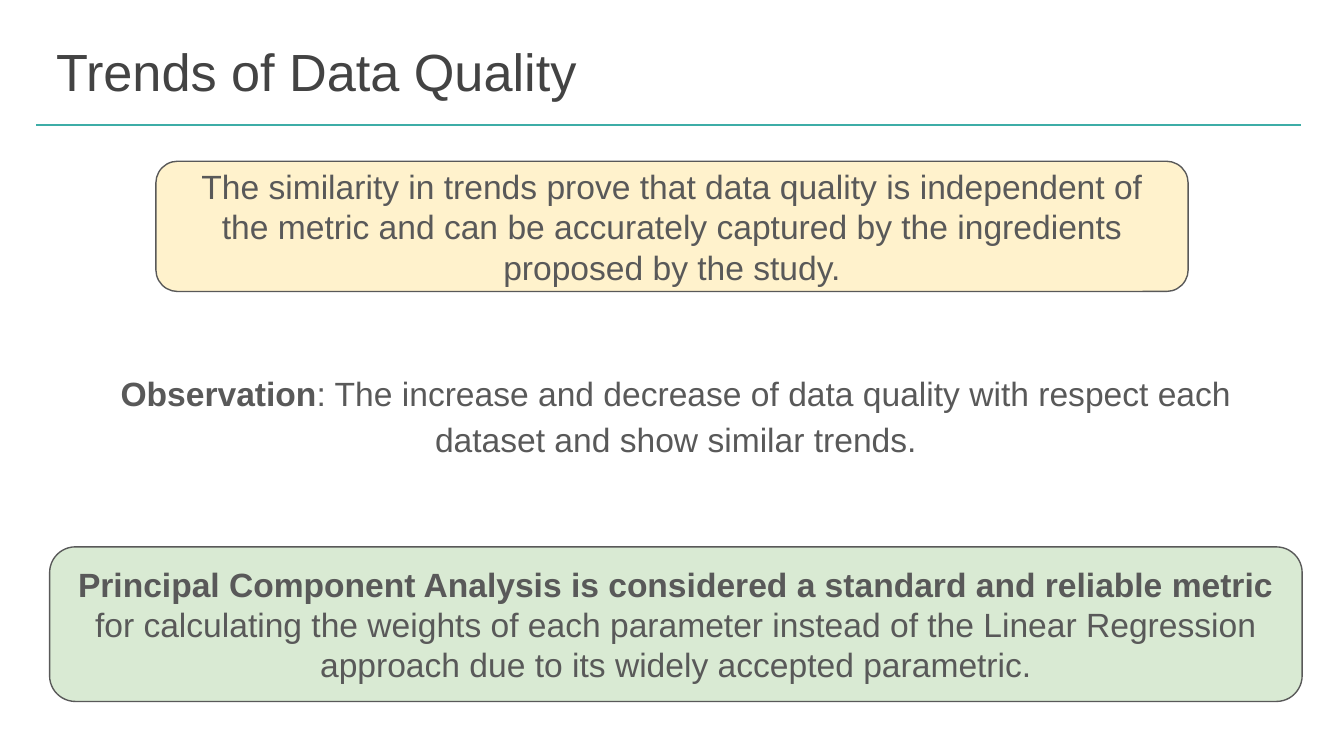
import pptx
import pptx.util
import pptx.dml.color
import pptx.enum.shapes
import pptx.enum.text
import pptx.oxml

Pt = pptx.util.Pt
RGBColor = pptx.dml.color.RGBColor
MSO_SHAPE = pptx.enum.shapes.MSO_SHAPE
PP_ALIGN = pptx.enum.text.PP_ALIGN
MSO_ANCHOR = pptx.enum.text.MSO_ANCHOR

TEAL = RGBColor(0x3E, 0xAD, 0xA7)
DARK = RGBColor(0x43, 0x43, 0x43)
GRAY = RGBColor(0x59, 0x59, 0x59)
CREAM = RGBColor(0xFF, 0xF2, 0xCC)
GREEN = RGBColor(0xD9, 0xEA, 0xD3)

FONT = "Arial"
INSET = 7.2
LINE_WIDTH = 0.75
RULE = (19.4, 697, 67)

TITLE = ((23, 13.7, 671, 45.4), [("Trends of Data Quality", False)])
OBSERVATION = ((26.6, 189.4, 671, 69.8), [
    ("Observation", True),
    (": The increase and decrease of data quality with respect each "
     "dataset and show similar trends.", False),
])
CARDS = [
    ((83.5, 86.4, 553, 69.8), CREAM, [
        ("The similarity in trends prove that data quality is independent of "
         "the metric and can be accurately captured by the ingredients "
         "proposed by the study.", False),
    ]),
    ((26.6, 293, 671, 82.8), GREEN, [
        ("Principal Component Analysis is considered a standard and reliable metric", True),
        (" for calculating the weights of each parameter instead of the Linear "
         "Regression approach due to its widely accepted parametric.", False),
    ]),
]


def write_text(shape, runs, size, color, alignment, anchor):
    frame = shape.text_frame
    frame.word_wrap = True
    frame.vertical_anchor = anchor
    frame.margin_left = frame.margin_right = Pt(INSET)
    frame.margin_top = frame.margin_bottom = Pt(INSET)
    paragraph = frame.paragraphs[0]
    paragraph.alignment = alignment
    paragraph.font.name = FONT
    paragraph.font.size = Pt(size)
    paragraph.font.color.rgb = color
    for text, bold in runs:
        run = paragraph.add_run()
        run.text = text
        run.font.bold = bold
    return paragraph


def add_rule(slide):
    left, right, top = RULE
    rule = slide.shapes.add_connector(
        pptx.enum.shapes.MSO_CONNECTOR.STRAIGHT, Pt(left), Pt(top), Pt(right), Pt(top))
    rule.line.color.rgb = TEAL
    rule.line.width = Pt(LINE_WIDTH)
    rule.element.spPr.append(pptx.oxml.parse_xml(
        '<a:effectLst xmlns:a="http://schemas.openxmlformats.org/drawingml/2006/main"/>'))


def add_text(slide, box, runs, size, color, alignment):
    shape = slide.shapes.add_textbox(*map(Pt, box))
    return write_text(shape, runs, size, color, alignment, MSO_ANCHOR.TOP)


def add_card(slide, box, fill, runs):
    card = slide.shapes.add_shape(MSO_SHAPE.ROUNDED_RECTANGLE, *map(Pt, box))
    card.shadow.inherit = False
    card.fill.solid()
    card.fill.fore_color.rgb = fill
    card.line.color.rgb = GRAY
    card.line.width = Pt(LINE_WIDTH)
    write_text(card, runs, 18, GRAY, PP_ALIGN.CENTER, MSO_ANCHOR.MIDDLE)


def main():
    presentation = pptx.Presentation()
    presentation.slide_width = Pt(720)
    presentation.slide_height = Pt(405)
    slide = presentation.slides.add_slide(presentation.slide_layouts[6])

    add_rule(slide)
    add_text(slide, *TITLE, 28, DARK, PP_ALIGN.LEFT)
    observation = add_text(slide, *OBSERVATION, 18, GRAY, PP_ALIGN.CENTER)
    observation.line_spacing = 1.15
    observation.space_after = Pt(16)
    for card in CARDS:
        add_card(slide, *card)

    presentation.save("out.pptx")


if __name__ == "__main__":
    main()
